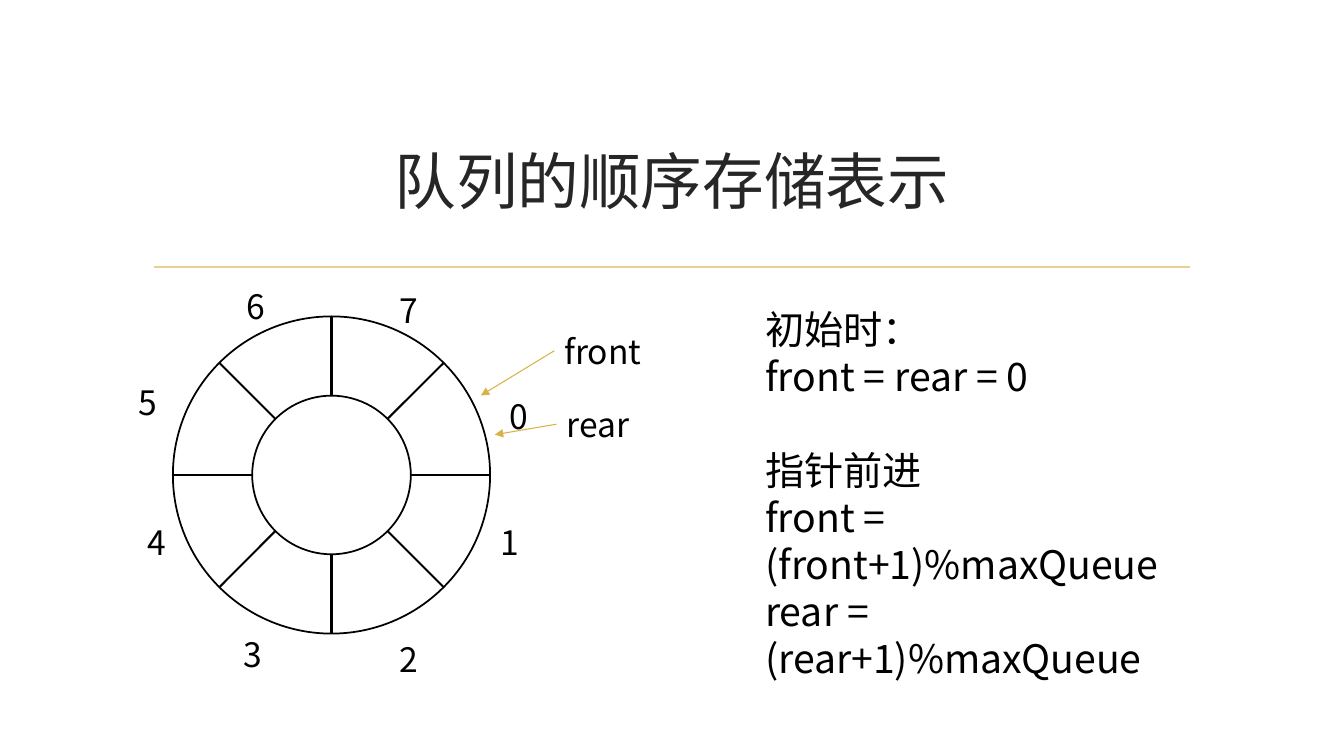
from math import cos, pi, sin

from lxml.etree import SubElement
from pptx import Presentation
from pptx.dml.color import RGBColor as RGB
from pptx.enum.shapes import MSO_CONNECTOR as LINK, MSO_SHAPE as SHAPE
from pptx.enum.text import MSO_ANCHOR as ANCHOR, PP_ALIGN as ALIGN
from pptx.oxml.ns import qn
from pptx.util import Pt

THEME = {
    "ink": "000000", "head": "262626", "rule": "E8D191", "gold": "D9B247",
    "font": "Noto Sans CJK SC", "title font": "Times New Roman",
    "title": 44, "body": 28, "label": 24,
}

TITLE = "队列的顺序存储表示"
# label, left, top
SLOTS = [
    ("0", 357, 279.5), ("1", 350.5, 369.5), ("2", 278, 453), ("3", 167, 449.5),
    ("4", 98, 369.5), ("5", 92, 269.5), ("6", 169, 201), ("7", 278.5, 203.5),
]
# name, left, top, arrow tip
POINTERS = [
    ("front", 396, 232.5, (343.5, 282.5)),
    ("rear", 397.5, 285, (353.5, 310.5)),
]
# lines of text, space before
NOTES = [
    ("初始时：", 0),
    ("front = rear = 0", 0),
    ("指针前进", 33.6),
    ("front = (front+1)%maxQueue", 0),
    ("rear = (rear+1)%maxQueue", 0),
]
MID_X, MID_Y, OUTER, INNER = 236.8, 339.3, 113.3, 56.65

deck = Presentation()
deck.slide_width, deck.slide_height = Pt(960), Pt(540)
slide = deck.slides.add_slide(deck.slide_layouts[6])


def draw_line(start, end, color, width, arrow=False):
    line = slide.shapes.add_connector(LINK.STRAIGHT, *map(Pt, (*start, *end)))
    line.line.color.rgb = RGB.from_string(THEME[color])
    line.line.width = Pt(width)
    props = line._element.spPr
    if arrow:
        SubElement(props.find(qn("a:ln")), qn("a:tailEnd"), type="triangle")
    SubElement(props, qn("a:effectLst"))


def draw_ring(radius):
    ring = slide.shapes.add_shape(
        SHAPE.OVAL, Pt(MID_X - radius), Pt(MID_Y - radius),
        Pt(2 * radius), Pt(2 * radius))
    ring.shadow.inherit = False
    ring.fill.background()
    ring.line.color.rgb = RGB.from_string(THEME["ink"])
    ring.line.width = Pt(1.25)


def add_text(lines, left, top, width, height, size, font="font", color="ink",
             align=ALIGN.LEFT, anchor=ANCHOR.TOP):
    box = slide.shapes.add_textbox(*map(Pt, (left, top, width, height)))
    frame = box.text_frame
    frame.word_wrap = True
    frame.vertical_anchor = anchor
    for i, (text, gap) in enumerate(lines):
        para = frame.add_paragraph() if i else frame.paragraphs[0]
        para.text = text
        para.alignment = align
        if gap:
            para.space_before = Pt(gap)
        para.font.name = THEME[font]
        para.font.size = Pt(THEME[size])
        para.font.color.rgb = RGB.from_string(THEME[color])


def rim(radius, angle):
    return MID_X + radius * cos(angle), MID_Y + radius * sin(angle)


draw_line((110.2, 190.8), (850.3, 190.8), "rule", 1.25)
add_text([(TITLE, 0)], 102, 77, 756, 103, "title", "title font", "head",
         ALIGN.CENTER, ANCHOR.MIDDLE)

draw_ring(OUTER)
draw_ring(INNER)
for i in range(len(SLOTS)):
    angle = 2 * pi * i / len(SLOTS)
    draw_line(rim(OUTER, angle), rim(INNER, angle), "ink", 1.5)

for name, left, top in SLOTS:
    add_text([(name, 0)], left, top, 59, 36, "label")
for name, left, top, tip in POINTERS:
    add_text([(name, 0)], left, top, 74, 36, "label")
    draw_line((left, top + 18), tip, "gold", 0.75, arrow=True)

add_text(NOTES, 539.5, 214.5, 352, 211, "body")

deck.save("out.pptx")
